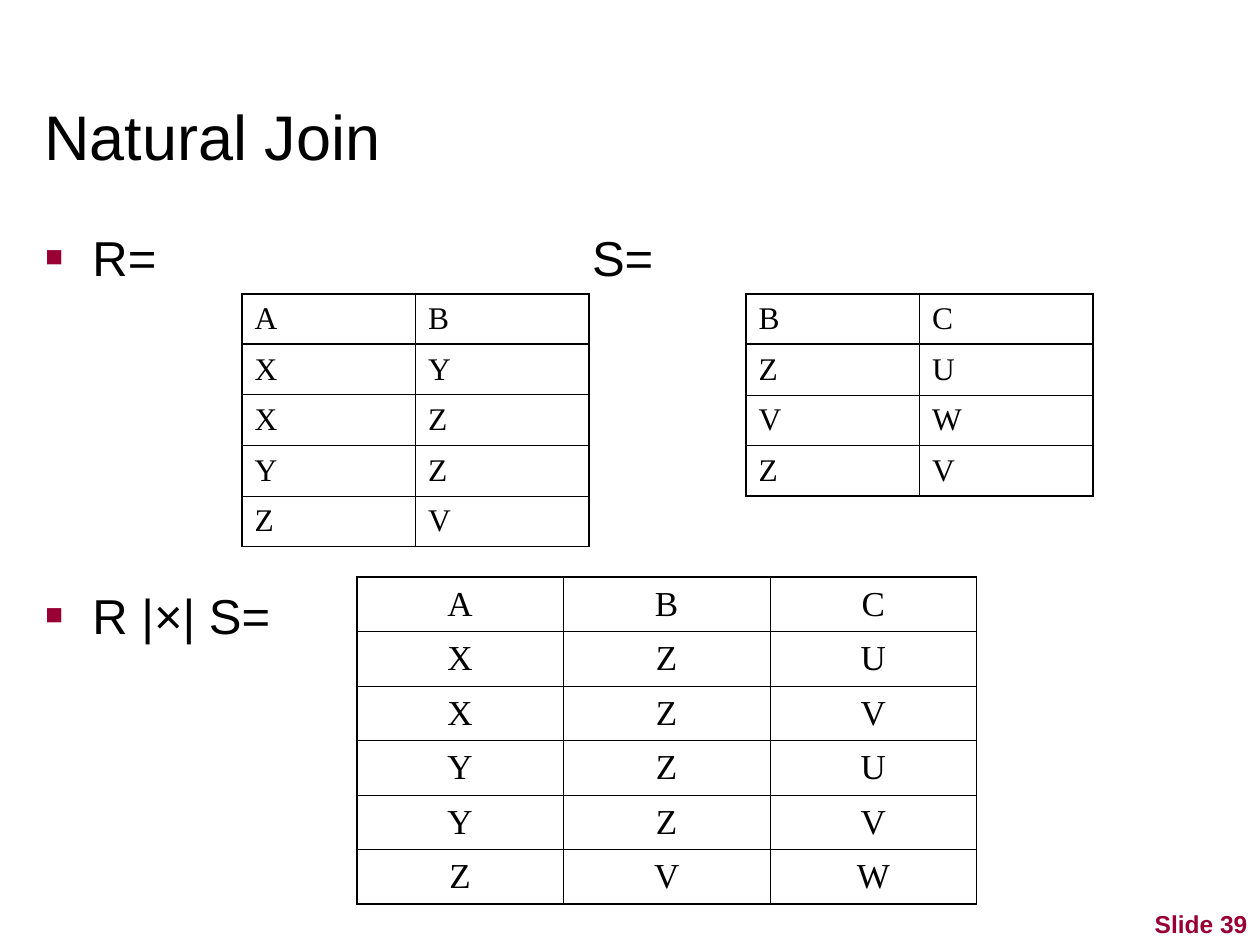
from lxml import etree
from pptx import Presentation
from pptx.dml.color import RGBColor
from pptx.enum import text
from pptx.oxml import ns
from pptx.util import Cm, Pt

COLORS = {"ink": "000000", "accent": "990033"}
SANS, SERIF = "Arial", "Times New Roman"
THICK, THIN = 1.08, 0.45


def add_xml(parent, tag, **attrs):
    return etree.SubElement(parent, ns.qn(tag), **attrs)


def format_runs(p, size, font, color="ink", bold=False):
    for r in p.runs:
        r.font.size, r.font.name, r.font.bold = Pt(size), font, bold
        r.font.color.rgb = RGBColor.from_string(COLORS[color])


def place(sp, x, y, w, h):
    sp.left, sp.top, sp.width, sp.height = Cm(x), Cm(y), Cm(w), Cm(h)


def add_title(slide, title, *box):
    sp = slide.shapes.title
    place(sp, *box)
    tf = sp.text_frame
    tf.text = title
    tf.vertical_anchor = text.MSO_ANCHOR.BOTTOM
    tf.auto_size = text.MSO_AUTO_SIZE.NONE
    tf.paragraphs[0].alignment = text.PP_ALIGN.LEFT
    format_runs(tf.paragraphs[0], 36, SANS)


def add_bullets(slide, items, tab, *box):
    """Place a list of (text, space before in points)."""
    sp = slide.placeholders[1]
    place(sp, *box)
    tf = sp.text_frame
    tf.text = "\n".join(item for item, _ in items)
    tf.auto_size = text.MSO_AUTO_SIZE.NONE
    tf.margin_right = 0
    for p, (_, space) in zip(tf.paragraphs, items):
        p.space_before = Pt(space)
        format_runs(p, 28, SANS)
        # Square bullet, hanging indent and tab stop
        pPr = p._p.get_or_add_pPr()
        pPr.set("marL", str(Cm(0.95)))
        pPr.set("indent", str(-Cm(0.95)))
        add_xml(add_xml(pPr, "a:buClr"), "a:srgbClr", val=COLORS["accent"])
        add_xml(pPr, "a:buSzPct", val="60000")
        add_xml(pPr, "a:buFont", typeface=SANS)
        add_xml(pPr, "a:buChar", char="■")
        add_xml(add_xml(pPr, "a:tabLst"), "a:tab", pos=str(Cm(tab)), algn="l")


def set_borders(cell, **widths):
    tcPr = cell._tc.get_or_add_tcPr()
    for i, (side, width) in enumerate(widths.items()):
        ln = etree.Element(ns.qn("a:ln" + side), w=str(Pt(width)))
        add_xml(add_xml(ln, "a:solidFill"), "a:srgbClr", val=COLORS["ink"])
        tcPr.insert(i, ln)


def add_relation(slide, rows, size, align, x, y, w, h):
    """Place a relation; its first string holds the attribute names."""
    n_rows, n_cols = len(rows), len(rows[0])
    table = slide.shapes.add_table(n_rows, n_cols, Cm(x), Cm(y), Cm(w), Cm(h)).table
    table.first_row = table.horz_banding = False
    for i, row in enumerate(rows):
        for j, value in enumerate(row):
            cell = table.cell(i, j)
            cell.text = value
            cell.vertical_anchor = text.MSO_ANCHOR.MIDDLE
            cell.fill.background()
            p = cell.text_frame.paragraphs[0]
            p.alignment = align
            p.space_before = Pt(size / 4)
            format_runs(p, size, SERIF)
            # Thick outline and header rule, thin inner lines
            set_borders(cell,
                        L=THICK if j == 0 else THIN,
                        R=THICK if j == n_cols - 1 else THIN,
                        T=THICK if i < 2 else THIN,
                        B=THICK if i in (0, n_rows - 1) else THIN)


def add_slide_number(slide, label, *box):
    tf = slide.shapes.add_textbox(*map(Cm, box)).text_frame
    tf.word_wrap = True
    tf.text = label
    tf.vertical_anchor = text.MSO_ANCHOR.BOTTOM
    tf.paragraphs[0].alignment = text.PP_ALIGN.RIGHT
    format_runs(tf.paragraphs[0], 14, SANS, "accent", True)


prs = Presentation()
prs.slide_width, prs.slide_height = Cm(25.4), Cm(19.05)
slide = prs.slides.add_slide(prs.slide_layouts[1])

# Title and list
add_title(slide, "Natural Join", 0.64, 0.84, 21.67, 2.77)
add_bullets(slide, [("R=\tS=", 7), ("R |×| S=", 171)], 11.02,
            0.66, 4.45, 23.04, 12.7)

# Operands and their join
LEFT, CENTER = text.PP_ALIGN.LEFT, text.PP_ALIGN.CENTER
add_relation(slide, ["AB", "XY", "XZ", "YZ", "ZV"], 18, LEFT, 4.88, 5.92, 6.99, 5.1)
add_relation(slide, ["BC", "ZU", "VW", "ZV"], 18, LEFT, 15.04, 5.92, 6.99, 4.08)
add_relation(slide, ["ABC", "XZU", "XZV", "YZU", "YZV", "ZVW"], 20, CENTER,
             7.19, 11.63, 12.5, 6.6)

add_slide_number(slide, "Slide 39", 20.12, 17.78, 5.28, 1.27)
prs.save("out.pptx")
